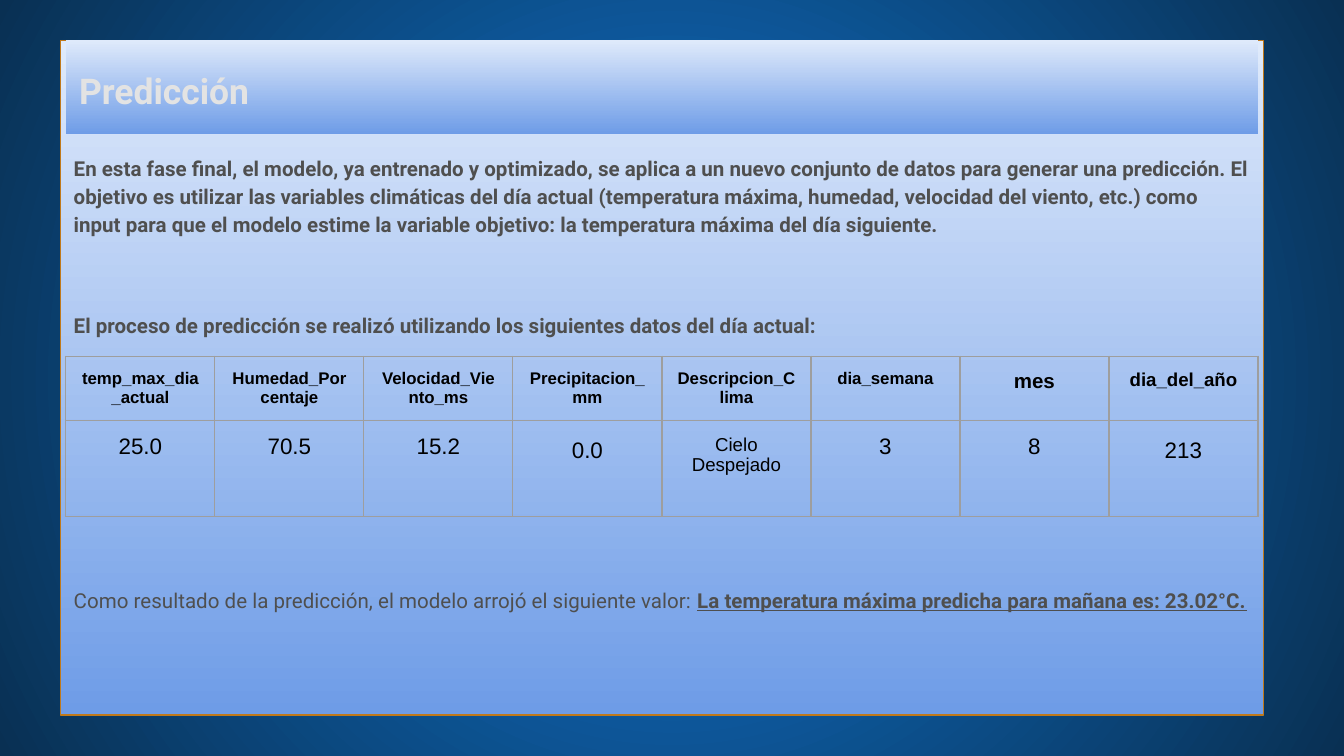
"""Build the prediction slide: introduction, table of inputs and predicted value."""
from lxml import etree
from pptx import Presentation
from pptx.dml.color import RGBColor
from pptx.enum.shapes import MSO_SHAPE
from pptx.enum.text import MSO_ANCHOR, PP_ALIGN
from pptx.oxml import parse_xml
from pptx.oxml.ns import qn
from pptx.util import Inches, Pt

RECTANGLE = MSO_SHAPE.RECTANGLE
TOP, MIDDLE = MSO_ANCHOR.TOP, MSO_ANCHOR.MIDDLE
LEFT, CENTER = PP_ALIGN.LEFT, PP_ALIGN.CENTER
DRAWING_NS = "http://schemas.openxmlformats.org/drawingml/2006/main"
SKY = ("DFEAFB", "6E9CE7")


def paint_gradient(fill, colors):
    fill.gradient()
    for stop, color in zip(fill.gradient_stops, colors):
        stop.color.rgb = RGBColor.from_string(color)


def add_text(paragraph, text, color, **font_format):
    run = paragraph.add_run()
    run.text = text
    run.font.color.rgb = RGBColor.from_string(color)
    for attribute, value in font_format.items():
        setattr(run.font, attribute, value)


prs = Presentation()
prs.slide_width, prs.slide_height = Inches(10), Inches(10) * 9 // 16
slide = prs.slides.add_slide(prs.slide_layouts[6])

paint_gradient(slide.background.fill, ("1076D2", "093053"))
linear = next(slide.background._cSld.iter(qn("a:lin")))
linear.getparent().replace(linear, parse_xml(
    f'<a:path xmlns:a="{DRAWING_NS}" path="circle">'
    '<a:fillToRect l="50000" t="50000" r="50000" b="50000"/></a:path>'))

frames = []
for left, width, height, margin_top, anchor in [
    (0.45, 8.95, 5.02, 0.83, TOP),
    (0.49, 8.87, 0.7, 0.1, MIDDLE),
]:
    box = slide.shapes.add_shape(
        RECTANGLE, Inches(left), Inches(0.3), Inches(width), Inches(height))
    box.shadow.inherit = False
    paint_gradient(box.fill, SKY)
    box.fill.gradient_angle = 270
    box.line.fill.background()
    frame_format = {
        "margin_left": Inches(0.1), "margin_right": Inches(0.1),
        "margin_top": Inches(margin_top), "margin_bottom": Inches(0.1),
        "vertical_anchor": anchor, "word_wrap": True,
    }
    for attribute, value in frame_format.items():
        setattr(box.text_frame, attribute, value)
    frames.append(box.text_frame)

body, title = frames
panel = slide.shapes[0]
panel.line.color.rgb = RGBColor.from_string("C0791B")
panel.line.width = Pt(0.75)

heading = title.paragraphs[0]
heading.alignment, heading.line_spacing = LEFT, 1.15
add_text(heading, "Predicción", "E3E3E3", name="Roboto", size=Pt(19), bold=True)

INTRODUCTION = (
    "En esta fase final, el modelo, ya entrenado y optimizado, se aplica a un nuevo "
    "conjunto de datos para generar una predicción. El objetivo es utilizar las "
    "variables climáticas del día actual (temperatura máxima, humedad, velocidad del "
    "viento, etc.) como input para que el modelo estime la variable objetivo: la "
    "temperatura máxima del día siguiente.")
PROCESS = "El proceso de predicción se realizó utilizando los siguientes datos del día actual:"
RESULT = "Como resultado de la predicción, el modelo arrojó el siguiente valor: "
PREDICTION = "La temperatura máxima predicha para mañana es: 23.02°C."

for index, (space_before, runs) in enumerate([
    (0, [(INTRODUCTION, {"bold": True})]),
    (39, [(PROCESS, {"bold": True})]),
    (132, [(RESULT, {"bold": False}), (PREDICTION, {"bold": True, "underline": True})]),
]):
    paragraph = body.add_paragraph() if index else body.paragraphs[0]
    paragraph.alignment, paragraph.line_spacing = LEFT, 1.15
    paragraph.space_before = Pt(space_before)
    for text, emphasis in runs:
        add_text(paragraph, text, "4F4F4F", name="Roboto", size=Pt(11), **emphasis)

VARIABLES = [
    ("temp_max_dia_actual", 9, "25.0", 12, 1),
    ("Humedad_Porcentaje", 9, "70.5", 12, 1),
    ("Velocidad_Viento_ms", 9, "15.2", 12, 1),
    ("Precipitacion_mm", 9, "0.0", 12, 1.15),
    ("Descripcion_Clima", 9, "Cielo Despejado", 10, 1),
    ("dia_semana", 9, "3", 12, 1),
    ("mes", 11, "8", 12, 1),
    ("dia_del_año", 10, "213", 12, 1.15),
]
inputs = slide.shapes.add_table(
    2, len(VARIABLES), Inches(0.49), Inches(2.65), Inches(8.87), Inches(1.19)).table
inputs.first_row = inputs.horz_banding = False
inputs.rows[0].height, inputs.rows[1].height = Inches(0.48), Inches(0.71)

for column, (name, name_size, reading, reading_size, spacing) in enumerate(VARIABLES):
    inputs.columns[column].width = Inches(8.87 / len(VARIABLES))
    for row, (text, size, line_spacing) in enumerate([
        (name, name_size, 1), (reading, reading_size, spacing),
    ]):
        cell = inputs.cell(row, column)
        for side in ("left", "right", "top", "bottom"):
            setattr(cell, f"margin_{side}", Inches(0.1))
        properties = cell._tc.get_or_add_tcPr()
        for edge in ("lnL", "lnR", "lnT", "lnB"):
            border = etree.SubElement(properties, qn(f"a:{edge}"), w=str(Pt(0.75)))
            solid = etree.SubElement(border, qn("a:solidFill"))
            etree.SubElement(solid, qn("a:srgbClr"), val="9E9E9E")
        cell.fill.background()
        paragraph = cell.text_frame.paragraphs[0]
        paragraph.alignment, paragraph.line_spacing = CENTER, line_spacing
        add_text(paragraph, text, "000000", name="Arial", size=Pt(size), bold=row == 0)

prs.save("out.pptx")
